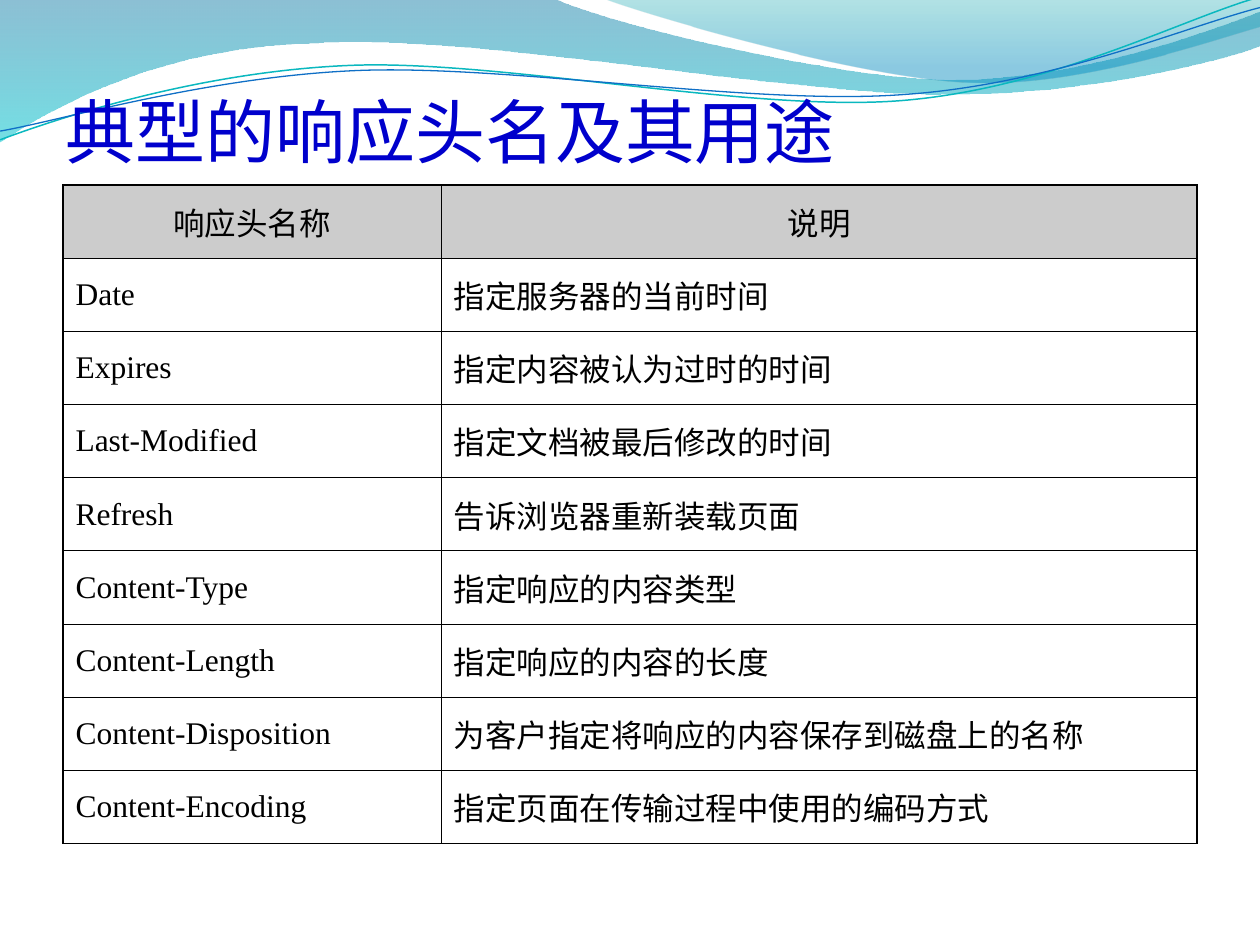
import math

import pptx
import pptx.oxml.ns
from lxml import etree
from pptx.dml.color import RGBColor
from pptx.enum.text import MSO_ANCHOR, PP_ALIGN
from pptx.util import Pt

TITLE = "典型的响应头名及其用途"
HEADER = ("响应头名称", "说明")
RESPONSE_HEADERS = [
    ("Date", "指定服务器的当前时间"),
    ("Expires", "指定内容被认为过时的时间"),
    ("Last-Modified", "指定文档被最后修改的时间"),
    ("Refresh", "告诉浏览器重新装载页面"),
    ("Content-Type", "指定响应的内容类型"),
    ("Content-Length", "指定响应的内容的长度"),
    ("Content-Disposition", "为客户指定将响应的内容保存到磁盘上的名称"),
    ("Content-Encoding", "指定页面在传输过程中使用的编码方式"),
]

CJK_FONT, LATIN_FONT = "Noto Sans CJK SC", "Times New Roman"
BLACK = RGBColor(0x00, 0x00, 0x00)
GREY = RGBColor(0xCC, 0xCC, 0xCC)
TITLE_BLUE = RGBColor(0x00, 0x00, 0xCC)
DEEP_BLUE = RGBColor(0x00, 0x74, 0xA1)
AQUA = RGBColor(0x00, 0xC6, 0xCF)
TEAL = RGBColor(0x00, 0xA1, 0xA9)
SKY = RGBColor(0x00, 0x8B, 0xBF)
LINE_TEAL = RGBColor(0x0A, 0xB8, 0xBF)
LINE_BLUE = RGBColor(0x0F, 0x6F, 0xC6)

# Outlines in points: two numbers are a straight step, six a Bezier curve.
# Gradient stops are position, colour, opacity in percent.
WAVES = [
    ([(0, 0), (316.8, -0.7),
      (342.7, 12.2, 478.1, 45.4, 545.8, 45.4),
      (614.2, 45.4, 689.8, 18.7, 720, 6.5), (720.7, 25.9),
      (707.8, 31.7, 626.4, 54.7, 537.1, 54),
      (447.8, 54, 275, 20.2, 185, 24.5),
      (92.9, 25.9, 33.1, 59.8, -0.7, 81.4), (0, 0)],
     [(0, DEEP_BLUE, 45), (1, AQUA, 55)]),
    ([(344.9, -0.7),
      (366.5, 7.9, 491, 44.6, 553.7, 46.8),
      (616.3, 49.7, 691.9, 23, 720, 15.1), (720, 0), (344.9, -0.7)],
     [(0, TEAL, 30), (0.8, SKY, 45)]),
]
STRANDS = [
    ([(0, 79.9),
      (34.6, 67, 113.8, 41, 199.4, 37.4),
      (284.4, 33.8, 427, 64.1, 513.4, 57.6),
      (599.8, 51.1, 675.4, 10.8, 718.6, -1.4)], LINE_TEAL, 0.85),
    ([(0, 74.9),
      (33.8, 69.1, 118.1, 43.9, 203.8, 40.3),
      (290.2, 36.7, 429.8, 60.5, 516.2, 54),
      (601.9, 48.2, 677.5, 15.1, 720, 4.3)], LINE_BLUE, 0.75),
]
STRAND_TILT = -2.7
STRAND_PIVOT = (359.3, 41.8)


def add_xml(parent, tag, **attributes):
    return etree.SubElement(parent, pptx.oxml.ns.qn(tag), attributes)


def level(step):
    """Undo the strand tilt for every point of one step."""
    angle = math.radians(-STRAND_TILT)
    pivot_x, pivot_y = STRAND_PIVOT
    turned = []
    for x, y in zip(step[::2], step[1::2]):
        dx, dy = x - pivot_x, y - pivot_y
        turned += [pivot_x + dx * math.cos(angle) - dy * math.sin(angle),
                   pivot_y + dx * math.sin(angle) + dy * math.cos(angle)]
    return tuple(turned)


def add_outline(shapes, steps, close):
    """Build a freeform through the end points, then bend its curved steps."""
    start, *ends = [(Pt(step[-2]), Pt(step[-1])) for step in steps]
    builder = shapes.build_freeform(*start)
    builder.add_line_segments(ends, close=close)
    shape = builder.convert_to_shape()
    shape.shadow.inherit = False
    segments = list(shape._element.iter(pptx.oxml.ns.qn("a:lnTo")))
    for segment, step in zip(segments, steps[1:]):
        if len(step) == 6:
            outline = segment.getparent()
            curve = add_xml(outline, "a:cubicBezTo")
            for x, y in zip(step[::2], step[1::2]):
                add_xml(curve, "a:pt", x=str(Pt(x) - shape.left), y=str(Pt(y) - shape.top))
            outline.replace(segment, curve)
    return shape


def add_wave(shapes, steps, stops):
    wave = add_outline(shapes, steps, close=True)
    wave.line.fill.background()
    wave.fill.gradient()
    wave.fill.gradient_angle = 270
    for stop, (position, color, opacity) in zip(wave.fill.gradient_stops, stops):
        stop.position = position
        stop.color.rgb = color
        color_node = stop.color._xFill.find(pptx.oxml.ns.qn("a:srgbClr"))
        add_xml(color_node, "a:alpha", val=str(opacity * 1000))


def add_strand(shapes, steps, color, width):
    strand = add_outline(shapes, [level(step) for step in steps], close=False)
    strand.rotation = STRAND_TILT
    strand.fill.background()
    strand.line.color.rgb = color
    strand.line.width = Pt(width)


def format_text(paragraph, size, color, latin, align):
    paragraph.alignment = align
    span = paragraph.runs[0]
    span.font.size = Pt(size)
    span.font.bold = False
    span.font.color.rgb = color
    span.font.name = latin
    add_xml(span.font._element, "a:ea", typeface=CJK_FONT)


def set_borders(cell, top, bottom):
    properties = cell._tc.get_or_add_tcPr()
    for side, width in (("L", 0.75), ("R", 0.75), ("T", top), ("B", bottom)):
        border = add_xml(properties, f"a:ln{side}", w=str(Pt(width)))
        add_xml(add_xml(border, "a:solidFill"), "a:srgbClr", val=str(BLACK))


def add_header_table(page):
    rows = [HEADER] + RESPONSE_HEADERS
    last = len(rows) - 1
    table = page.shapes.add_table(len(rows), 2, Pt(36), Pt(105.75), Pt(648), Pt(376.47)).table
    table.first_row = table.horz_banding = False
    table.columns[0].width, table.columns[1].width = Pt(216.25), Pt(431.75)
    for r, texts in enumerate(rows):
        table.rows[r].height = Pt(41.83)
        for c, text in enumerate(texts):
            cell = table.cell(r, c)
            set_borders(cell, top=1 if r < 2 else 0.75, bottom=1 if r in (0, last) else 0.75)
            cell.vertical_anchor = MSO_ANCHOR.MIDDLE
            cell.text_frame.text = text
            para = cell.text_frame.paragraphs[0]
            if r == 0:
                cell.fill.solid()
                cell.fill.fore_color.rgb = GREY
                format_text(para, 18, BLACK, CJK_FONT, PP_ALIGN.CENTER)
            else:
                cell.fill.background()
                format_text(para, 18, BLACK, LATIN_FONT, PP_ALIGN.JUSTIFY)
            hanging = para._p.get_or_add_pPr()
            hanging.set("marL", str(Pt(27)))
            hanging.set("indent", str(-Pt(27)))


def add_title(page):
    title = page.shapes.title
    title.left, title.top, title.width, title.height = Pt(37.5), Pt(31.7), Pt(648), Pt(67)
    frame = title.text_frame
    frame.text = TITLE
    frame.vertical_anchor = MSO_ANCHOR.BOTTOM
    frame.margin_left = frame.margin_right = frame.margin_bottom = 0
    frame.margin_top = Pt(3.6)
    format_text(frame.paragraphs[0], 40, TITLE_BLUE, CJK_FONT, PP_ALIGN.LEFT)
    page.shapes._spTree.append(title._element)  # in front of the waves


def main():
    deck = pptx.Presentation()
    deck.slide_width, deck.slide_height = Pt(720), Pt(540)
    page = deck.slides.add_slide(deck.slide_layouts[5])
    for wave in WAVES:
        add_wave(page.shapes, *wave)
    strands = page.shapes.add_group_shape()
    for strand in STRANDS:
        add_strand(strands.shapes, *strand)
    add_title(page)
    add_header_table(page)
    deck.save("out.pptx")


if __name__ == "__main__":
    main()
